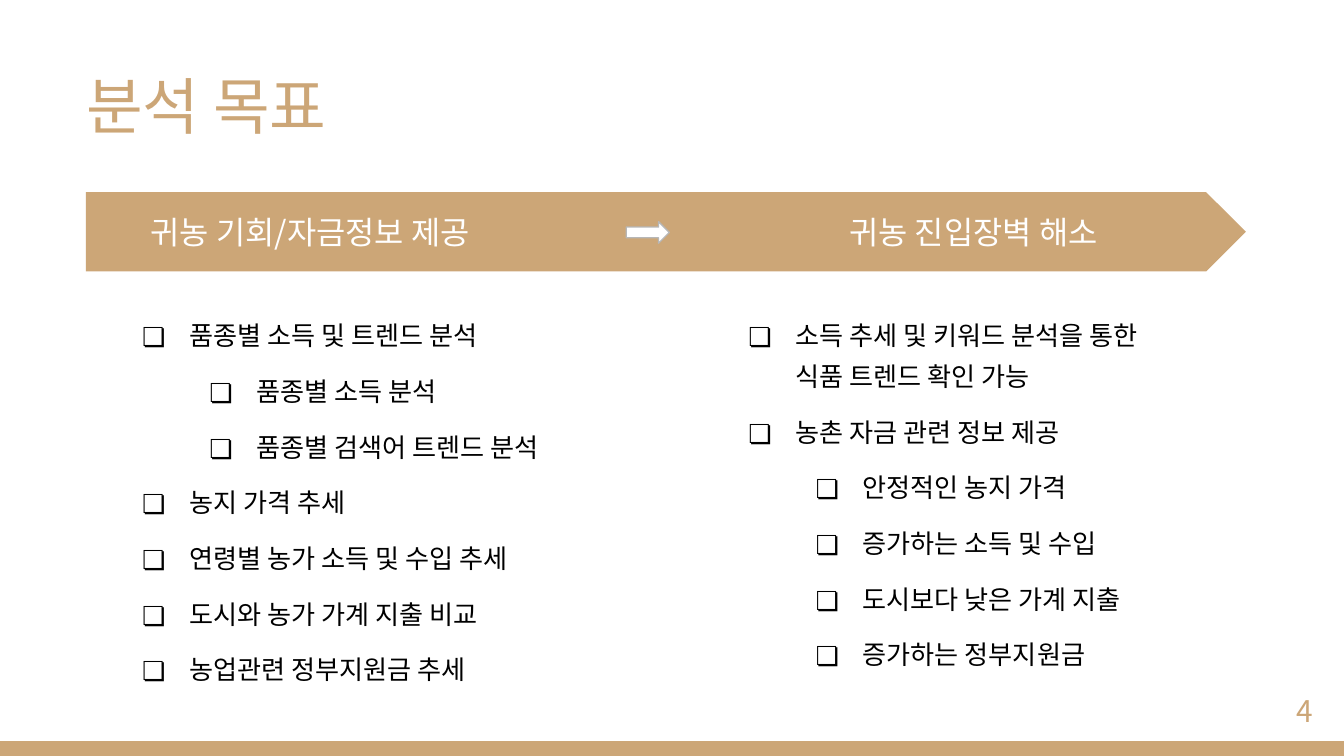
from lxml.etree import SubElement
from pptx import Presentation
from pptx.dml.color import RGBColor
from pptx.enum.shapes import MSO_SHAPE
from pptx.enum.text import MSO_ANCHOR, MSO_AUTO_SIZE, PP_ALIGN
from pptx.oxml.ns import qn
from pptx.util import Inches, Pt

FONT = "Noto Sans CJK KR"
GOLD, WHITE, BLACK, GRAY = "CCA677", "FFFFFF", "000000", "B7B7B7"
WIDTH = 10
HEIGHT = WIDTH * 9 / 16
BAR = 0.11

TITLE = "분석 목표"
PAGE_NUMBER = "4"
HEADINGS = ["귀농 기회/자금정보 제공", "귀농 진입장벽 해소"]
HEADING_TAB = 5.2
COLUMNS = [
    (0.81, 4.13, [
        (0, "품종별 소득 및 트렌드 분석"),
        (1, "품종별 소득 분석"),
        (1, "품종별 검색어 트렌드 분석"),
        (0, "농지 가격 추세"),
        (0, "연령별 농가 소득 및 수입 추세"),
        (0, "도시와 농가 가계 지출 비교"),
        (0, "농업관련 정부지원금 추세"),
    ]),
    (5.32, 3.55, [
        (0, "소득 추세 및 키워드 분석을 통한 식품 트렌드 확인 가능"),
        (0, "농촌 자금 관련 정보 제공"),
        (1, "안정적인 농지 가격"),
        (1, "증가하는 소득 및 수입"),
        (1, "도시보다 낮은 가계 지출"),
        (1, "증가하는 정부지원금"),
    ]),
]


def color(value):
    return RGBColor.from_string(value)


def place(shape, left, top, width, height):
    shape.left, shape.top = Inches(left), Inches(top)
    shape.width, shape.height = Inches(width), Inches(height)


def add_shape(page, kind, bounds, fill, line=None):
    shape = page.shapes.add_shape(kind, *map(Inches, bounds))
    shape.shadow.inherit = False
    shape.fill.solid()
    shape.fill.fore_color.rgb = color(fill)
    if line:
        shape.line.color.rgb = color(line)
        shape.line.width = Pt(0.75)
    else:
        shape.line.fill.background()


def prepare_frame(box, anchor):
    frame = box.text_frame
    frame.word_wrap = True
    frame.auto_size = MSO_AUTO_SIZE.NONE
    frame.vertical_anchor = anchor
    frame.margin_left = frame.margin_right = Inches(0.1)
    frame.margin_top = frame.margin_bottom = Inches(0.1)
    return frame


def add_frame(page, bounds, anchor=MSO_ANCHOR.MIDDLE):
    return prepare_frame(page.shapes.add_textbox(*map(Inches, bounds)), anchor)


def write(para, text, size, fill, align=PP_ALIGN.LEFT):
    para.text = text
    para.alignment = align
    para.font.size = Pt(size)
    para.font.name = FONT
    para.font.color.rgb = color(fill)
    defaults = para._p.pPr.find(qn("a:defRPr"))
    SubElement(defaults, qn("a:ea"), typeface=FONT)
    return defaults


def add_before(defaults, tag, **attributes):
    element = SubElement(defaults.getparent(), qn(tag), **attributes)
    defaults.addprevious(element)
    return element


def add_list(page, left, width, items):
    frame = add_frame(page, (left, 2.21, width, 3.1), MSO_ANCHOR.TOP)
    for index, (level, text) in enumerate(items):
        para = frame.add_paragraph() if index else frame.paragraphs[0]
        defaults = write(para, text, 14, BLACK)
        para.level = level
        para.line_spacing = 1.3
        para.space_before = Pt(8 if index else 0)
        para.space_after = Pt(8 if index == len(items) - 1 else 0)
        properties = para._p.pPr
        properties.set("marL", str(Inches(0.5 * (level + 1))))
        properties.set("indent", str(Inches(-0.35)))
        bullet_color = add_before(defaults, "a:buClr")
        SubElement(bullet_color, qn("a:srgbClr"), val=BLACK)
        add_before(defaults, "a:buFont", typeface=FONT)
        add_before(defaults, "a:buChar", char="❏")


def main():
    deck = Presentation()
    deck.slide_width, deck.slide_height = Inches(WIDTH), Inches(HEIGHT)
    page = deck.slides.add_slide(deck.slide_layouts[5])

    add_shape(page, MSO_SHAPE.RECTANGLE, (0, HEIGHT - BAR, WIDTH, BAR), GOLD)

    title = page.shapes.title
    place(title, 0.54, 0.33, 4.13, 0.9)
    frame = prepare_frame(title, MSO_ANCHOR.MIDDLE)
    write(frame.paragraphs[0], TITLE, 33, GOLD)

    number = add_frame(page, (9.27, 5.1, 0.6, 0.43)).paragraphs[0]
    write(number, PAGE_NUMBER, 16, GOLD, PP_ALIGN.RIGHT)
    number.line_spacing = 0.8

    add_shape(page, MSO_SHAPE.PENTAGON, (0.64, 1.43, 8.63, 0.59), GOLD)
    banner = add_frame(page, (0.89, 1.44, 8.11, 0.57))
    banner.margin_left = Inches(0.23)
    defaults = write(banner.paragraphs[0], "\t".join(HEADINGS), 17, WHITE)
    tabs = add_before(defaults, "a:tabLst")
    SubElement(tabs, qn("a:tab"), pos=str(Inches(HEADING_TAB)), algn="l")
    add_shape(page, MSO_SHAPE.RIGHT_ARROW, (4.66, 1.65, 0.32, 0.16), WHITE, GRAY)

    for left, width, items in COLUMNS:
        add_list(page, left, width, items)

    deck.save("out.pptx")


if __name__ == "__main__":
    main()
